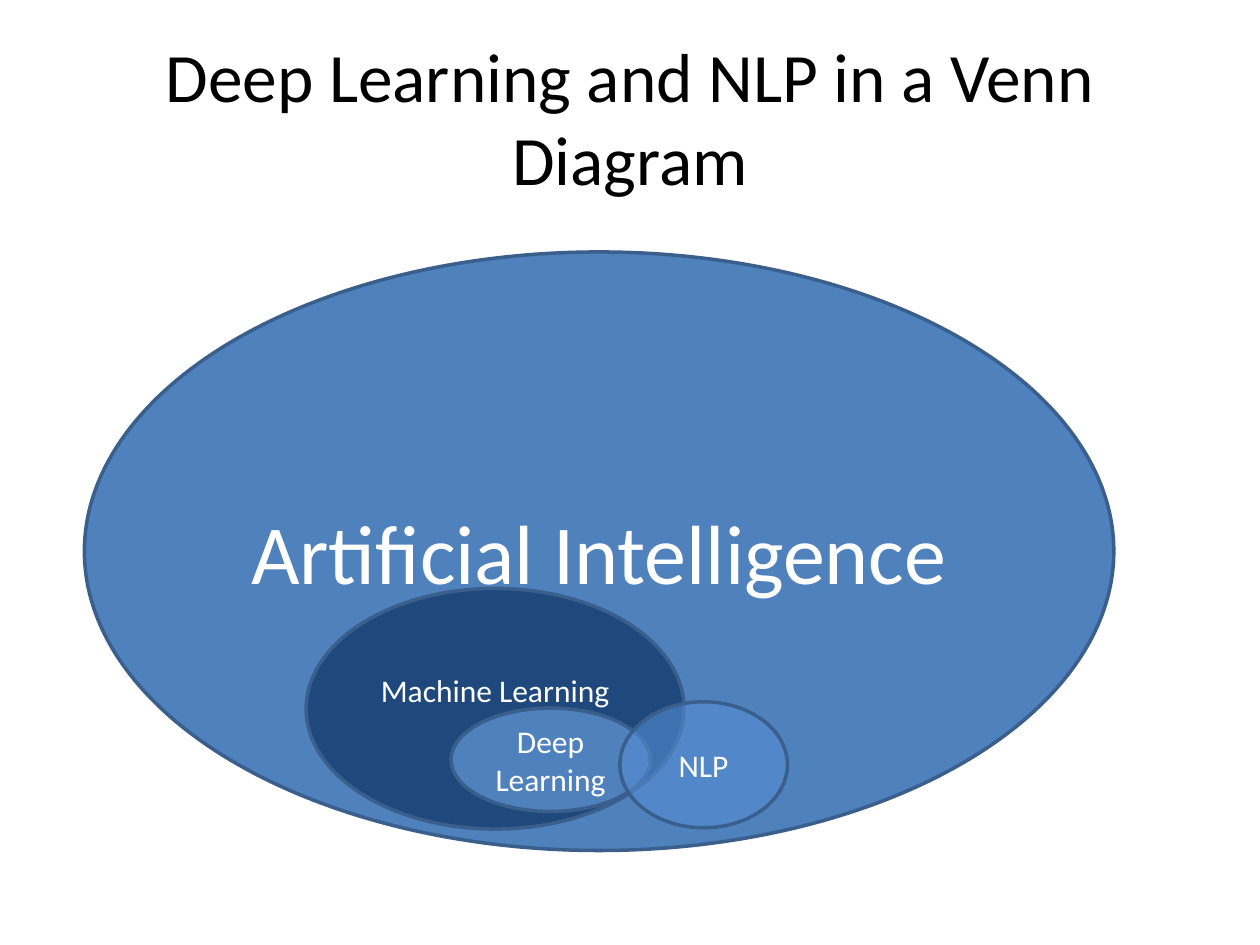
from lxml import etree
from pptx import Presentation
from pptx.dml.color import RGBColor
from pptx.enum.shapes import MSO_SHAPE
from pptx.enum.text import MSO_ANCHOR, MSO_AUTO_SIZE, PP_ALIGN
from pptx.oxml.ns import qn
from pptx.util import Inches, Pt

COLORS = {
    "black": "000000",
    "white": "FFFFFF",
    "blue": "4F81BD",
    "navy": "1F497D",
    "sky": "558ED5",
    "outline": "3A5F8C",
}


def rgb(name):
    return RGBColor.from_string(COLORS[name])


def write(sp, text, size=18, color="white", bottom=0.05):
    """Put centred text in a shape; a larger bottom inset lifts it."""
    tf = sp.text_frame
    tf.word_wrap = True
    tf.auto_size = MSO_AUTO_SIZE.NONE
    tf.vertical_anchor = MSO_ANCHOR.MIDDLE
    tf.margin_bottom = Inches(bottom)
    p = tf.paragraphs[0]
    p.alignment = PP_ALIGN.CENTER
    r = p.add_run()
    r.text = text
    r.font.name = "Calibri"
    r.font.size = Pt(size)
    r.font.color.rgb = rgb(color)


prs = Presentation()
prs.slide_width, prs.slide_height = Inches(10), Inches(7.5)
s = prs.slides.add_slide(prs.slide_layouts[5])

title = s.shapes.title
title.left, title.top = Inches(0.5), Inches(0.3)
title.width, title.height = Inches(9), Inches(1.25)
write(title, "Deep Learning and NLP in a Venn Diagram", size=39.6, color="black")

# Label, (left, top, width, height), fill, opacity in percent, text format
fields = [
    ("Artificial Intelligence", (0.67, 2, 8.17, 4.75), "blue", 100, {"size": 48}),
    ("Machine Learning", (2.43, 4.67, 3, 1.91), "navy", 100, {"bottom": 0.35}),
    ("Deep Learning", (3.58, 5.62, 1.58, 0.82), "blue", 100, {}),
    ("NLP", (4.92, 5.57, 1.33, 1), "sky", 58, {}),
]
for label, box, fill, opacity, text_format in fields:
    sp = s.shapes.add_shape(MSO_SHAPE.OVAL, *map(Inches, box))
    sp.shadow.inherit = False
    sp.fill.solid()
    sp.fill.fore_color.rgb = rgb(fill)
    sp.line.color.rgb = rgb("outline")
    sp.line.width = Pt(2)
    if opacity < 100:
        color = sp.fill._xPr.find(qn("a:solidFill"))[0]
        etree.SubElement(color, qn("a:alpha"), val=str(opacity * 1000))
    write(sp, label, **text_format)

prs.save("out.pptx")
